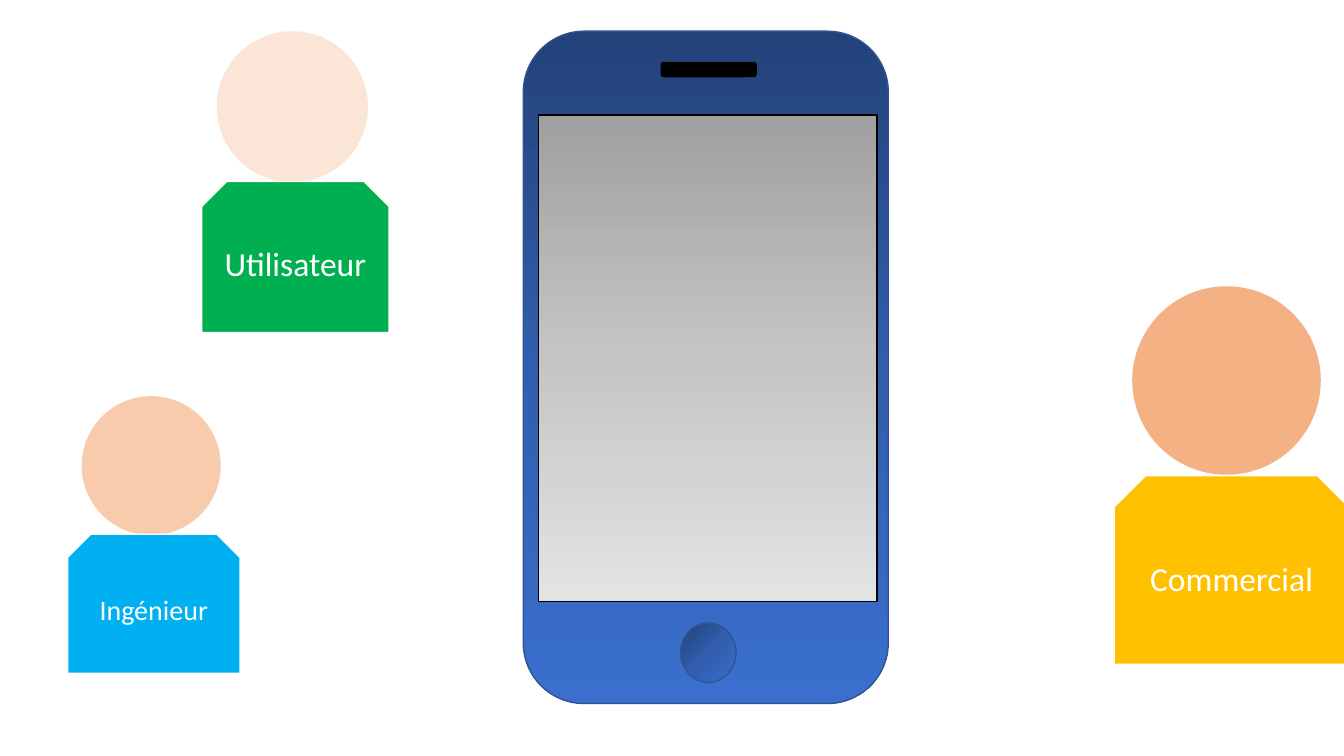
import pptx
import pptx.util
import pptx.dml.color
import pptx.enum.shapes
import pptx.enum.text
import pptx.oxml
import pptx.oxml.ns
from lxml import etree

Inches = pptx.util.Inches
RGBColor = pptx.dml.color.RGBColor
Shape = pptx.enum.shapes.MSO_SHAPE

WHITE = RGBColor(0xFF, 0xFF, 0xFF)
BLACK = RGBColor(0x00, 0x00, 0x00)
CASE_EDGE = RGBColor(0x32, 0x54, 0x91)
CASE_BLUES = (RGBColor(0x23, 0x42, 0x7A), RGBColor(0x31, 0x5E, 0xAD), RGBColor(0x3A, 0x6F, 0xCE))
SCREEN_GREYS = (RGBColor(0xA0, 0xA0, 0xA0), RGBColor(0xC5, 0xC5, 0xC5), RGBColor(0xE3, 0xE3, 0xE3))
GREEN = RGBColor(0x00, 0xB0, 0x50)
SKY = RGBColor(0x00, 0xB0, 0xF0)
AMBER = RGBColor(0xFF, 0xC0, 0x00)
SKIN_LIGHT = RGBColor(0xFB, 0xE5, 0xD6)
SKIN_MEDIUM = RGBColor(0xF8, 0xCB, 0xAD)
SKIN_DARK = RGBColor(0xF4, 0xB1, 0x83)


def write(box, text, *, size, color, font):
    """Put one centred line of text in a shape."""
    frame = box.text_frame
    frame.word_wrap = True
    frame.vertical_anchor = pptx.enum.text.MSO_ANCHOR.MIDDLE
    para = frame.paragraphs[0]
    para.alignment = pptx.enum.text.PP_ALIGN.CENTER
    span = para.add_run()
    span.text = text
    span.font.size = pptx.util.Pt(size)
    span.font.name = font
    span.font.color.rgb = color


class Painter:
    font = "Calibri"
    line_width = pptx.util.Pt(1)

    def __init__(self, page):
        self.page = page

    def group(self):
        return self.page.shapes.add_group_shape()

    def shape(self, group, kind, place, fill, line=None):
        box = group.shapes.add_shape(kind, *(Inches(length) for length in place))
        box.shadow.inherit = False
        if isinstance(fill, RGBColor):
            box.fill.solid()
            box.fill.fore_color.rgb = fill
        else:
            self.gradient(box, fill)
        if line is None:
            box.line.fill.background()
        else:
            box.line.color.rgb = line
            box.line.width = self.line_width
        return box

    def gradient(self, box, colors):
        """Spread the colours evenly from top to bottom."""
        box.fill.gradient()
        stops = box.fill._fill._gradFill.find(pptx.oxml.ns.qn("a:gsLst"))
        for stop in list(stops):
            stops.remove(stop)
        for index, color in enumerate(colors):
            stop = etree.SubElement(stops, pptx.oxml.ns.qn("a:gs"))
            stop.set("pos", str(100000 * index // (len(colors) - 1)))
            etree.SubElement(stop, pptx.oxml.ns.qn("a:srgbClr")).set("val", str(color))
        box.fill.gradient_angle = 270

    def radiate(self, box):
        """Make a gradient spread from the top left corner."""
        linear = box._element.spPr.find(".//" + pptx.oxml.ns.qn("a:lin"))
        circle = etree.Element(pptx.oxml.ns.qn("a:path"), {"path": "circle"})
        etree.SubElement(circle, pptx.oxml.ns.qn("a:fillToRect"), {"r": "100000", "b": "100000"})
        linear.getparent().replace(linear, circle)

    def phone(self):
        group = self.group()
        self.shape(group, Shape.ROUNDED_RECTANGLE, (5.19, 0.31, 3.62, 6.67), CASE_BLUES, CASE_EDGE)
        self.shape(group, Shape.RECTANGLE, (5.34, 1.14, 3.36, 4.83), SCREEN_GREYS, BLACK)
        button = self.shape(group, Shape.OVAL, (6.75, 6.18, 0.55, 0.59), CASE_BLUES, CASE_EDGE)
        self.radiate(button)
        self.shape(group, Shape.ROUNDED_RECTANGLE, (6.56, 0.62, 0.94, 0.14), BLACK, BLACK)

    def person(self, role, head, body, skin, shirt, size):
        group = self.group()
        left, top, diameter = head
        self.shape(group, Shape.OVAL, (left, top, diameter, diameter), skin)
        torso = self.shape(group, Shape.SNIP_2_SAME_RECTANGLE, body, shirt, WHITE)
        write(torso, role, size=size, color=WHITE, font=self.font)


# Deck
deck = pptx.Presentation()
deck.slide_width = Inches(13.33)
deck.slide_height = Inches(7.5)
painter = Painter(deck.slides.add_slide(deck.slide_layouts[6]))

# Phone in the middle
painter.phone()

# People around it
painter.person("Utilisateur", (2.15, 0.31, 1.5), (2, 1.8, 1.86, 1.5), SKIN_LIGHT, GREEN, 24)
painter.person("Ingénieur", (0.81, 3.93, 1.38), (0.67, 5.3, 1.71, 1.38), SKIN_MEDIUM, SKY, 20)
painter.person("Commercial", (11.23, 2.84, 1.87), (11.05, 4.72, 2.33, 1.87), SKIN_DARK, AMBER, 24)

deck.save("out.pptx")
